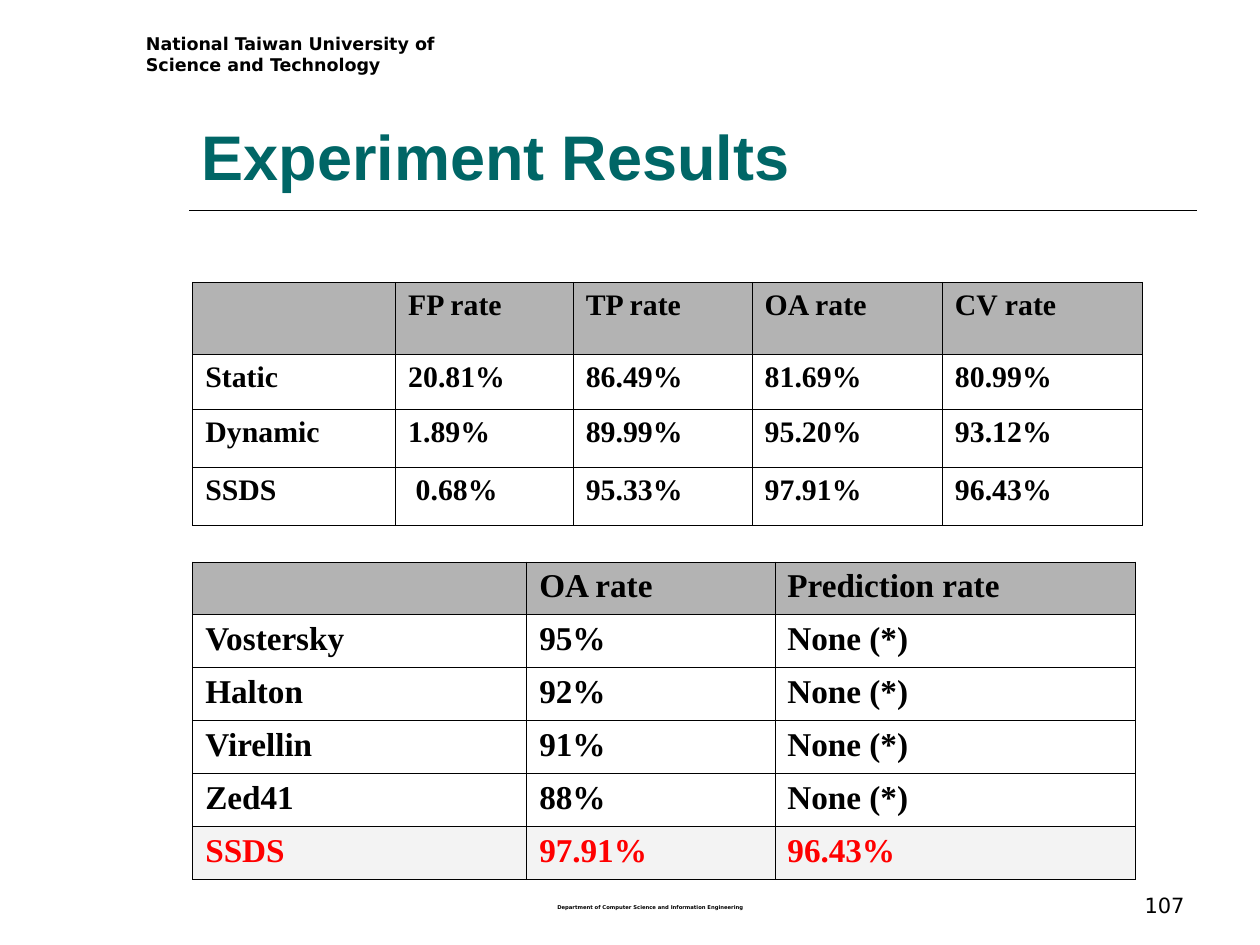
"""Build the experiment results slide with its two comparison tables."""
from dataclasses import dataclass

from lxml import etree
from pptx import Presentation
from pptx.dml.color import RGBColor
from pptx.enum.shapes import MSO_CONNECTOR
from pptx.enum.text import MSO_ANCHOR, PP_ALIGN
from pptx.oxml.ns import qn
from pptx.util import Inches, Pt

STRAIGHT = MSO_CONNECTOR.STRAIGHT
TOP, BOTTOM = MSO_ANCHOR.TOP, MSO_ANCHOR.BOTTOM
LEFT, CENTER, RIGHT = PP_ALIGN.LEFT, PP_ALIGN.CENTER, PP_ALIGN.RIGHT

BLACK = RGBColor(0x00, 0x00, 0x00)
TEAL = RGBColor(0x00, 0x66, 0x66)
RED = RGBColor(0xFF, 0x00, 0x00)
HEADER_GRAY = RGBColor(0xB3, 0xB3, 0xB3)
HIGHLIGHT_GRAY = RGBColor(0xF3, 0xF3, 0xF3)

TITLE_FONT, LABEL_FONT, TABLE_FONT = "Arial", "DejaVu Sans", "Times New Roman"
BORDER_WIDTH = Pt(0.45)


@dataclass(frozen=True)
class Label:
    text: str
    box: tuple[float, float, float, float]
    size: float
    bold: bool
    align: PP_ALIGN
    anchor: MSO_ANCHOR


@dataclass(frozen=True)
class ResultTable:
    left: float
    top: float
    widths: tuple[float, ...]
    heights: tuple[float, ...]
    size: float
    rows: tuple[tuple[str, ...], ...]
    highlight_last: bool = False


LABELS = (
    Label("National Taiwan University of Science and Technology",
          (1.06, 0.21, 2.52, 0.44), 10, True, LEFT, TOP),
    Label("Department of Computer Science and Information Engineering",
          (2.09, 6.82, 6.14, 0.46), 3, True, CENTER, BOTTOM),
    Label("107", (7.17, 6.83, 2.33, 0.5), 12, False, RIGHT, BOTTOM),
)

METHODS = ResultTable(
    1.53, 2.24, (1.61, 1.41, 1.42, 1.51, 1.59), (0.57, 0.44, 0.46, 0.46), 17,
    (
        ("", "FP rate", "TP rate", "OA rate", "CV rate"),
        ("Static", "20.81%", "86.49%", "81.69%", "80.99%"),
        ("Dynamic", "1.89%", "89.99%", "95.20%", "93.12%"),
        ("SSDS", " 0.68%", "95.33%", "97.91%", "96.43%"),
    ),
)

SCANNERS = ResultTable(
    1.53, 4.46, (2.65, 1.97, 2.86), (0.42,) * 6, 19,
    (
        ("", "OA rate", "Prediction rate"),
        ("Vostersky", "95%", "None (*)"),
        ("Halton", "92%", "None (*)"),
        ("Virellin", "91%", "None (*)"),
        ("Zed41", "88%", "None (*)"),
        ("SSDS", "97.91%", "96.43%"),
    ),
    highlight_last=True,
)


def style_font(font, name: str, size: float, color: RGBColor, bold: bool) -> None:
    font.name = name
    font.size = Pt(size)
    font.bold = bold
    font.color.rgb = color


def add_title(slide, text: str) -> None:
    title = slide.shapes.title
    title.left, title.top = Inches(1.5), Inches(0.33)
    title.width, title.height = Inches(8), Inches(1.25)
    frame = title.text_frame
    frame.text = text
    frame.vertical_anchor = BOTTOM
    heading = frame.paragraphs[0]
    heading.alignment = LEFT
    style_font(heading.runs[0].font, TITLE_FONT, 36, TEAL, True)


def add_title_rule(slide) -> None:
    rule = slide.shapes.add_connector(
        STRAIGHT, Inches(1.5), Inches(1.67), Inches(9.5), Inches(1.67))
    rule.line.color.rgb = BLACK
    rule.line.width = Pt(1)
    etree.SubElement(rule._element.spPr, qn("a:effectLst"))


def add_label(slide, label: Label) -> None:
    frame = slide.shapes.add_textbox(*map(Inches, label.box)).text_frame
    frame.word_wrap = True
    frame.vertical_anchor = label.anchor
    frame.text = label.text
    paragraph = frame.paragraphs[0]
    paragraph.alignment = label.align
    style_font(paragraph.runs[0].font, LABEL_FONT, label.size, BLACK, label.bold)


def add_borders(cell) -> None:
    properties = cell._tc.get_or_add_tcPr()
    for side in ("a:lnL", "a:lnR", "a:lnT", "a:lnB"):
        border = etree.SubElement(properties, qn(side), w=str(BORDER_WIDTH))
        fill = etree.SubElement(border, qn("a:solidFill"))
        etree.SubElement(fill, qn("a:srgbClr"), val=str(BLACK))


def fill_cell(cell, text: str, size: float, color: RGBColor,
              background: RGBColor | None) -> None:
    cell.text_frame.text = text
    cell.margin_left = cell.margin_right = Inches(0.1)
    cell.margin_top = cell.margin_bottom = Inches(0.05)
    for run in cell.text_frame.paragraphs[0].runs:
        style_font(run.font, TABLE_FONT, size, color, True)
    add_borders(cell)
    if background is None:
        cell.fill.background()
    else:
        cell.fill.solid()
        cell.fill.fore_color.rgb = background


def add_result_table(slide, results: ResultTable) -> None:
    table = slide.shapes.add_table(
        len(results.heights), len(results.widths),
        Inches(results.left), Inches(results.top),
        Inches(sum(results.widths)), Inches(sum(results.heights))).table
    table.first_row = table.horz_banding = False
    for column, width in zip(table.columns, results.widths):
        column.width = Inches(width)
    last = len(results.rows) - 1
    for index, (row, height) in enumerate(zip(table.rows, results.heights)):
        row.height = Inches(height)
        color, background = BLACK, None
        if index == 0:
            background = HEADER_GRAY
        elif index == last and results.highlight_last:
            color, background = RED, HIGHLIGHT_GRAY
        for cell, text in zip(row.cells, results.rows[index]):
            fill_cell(cell, text, results.size, color, background)


def main() -> None:
    presentation = Presentation()
    presentation.slide_width = Inches(10)
    presentation.slide_height = Inches(7.5)
    slide = presentation.slides.add_slide(presentation.slide_layouts[5])
    add_title_rule(slide)
    for label in LABELS:
        add_label(slide, label)
    add_title(slide, "Experiment Results")
    for results in (METHODS, SCANNERS):
        add_result_table(slide, results)
    presentation.save("out.pptx")


if __name__ == "__main__":
    main()
